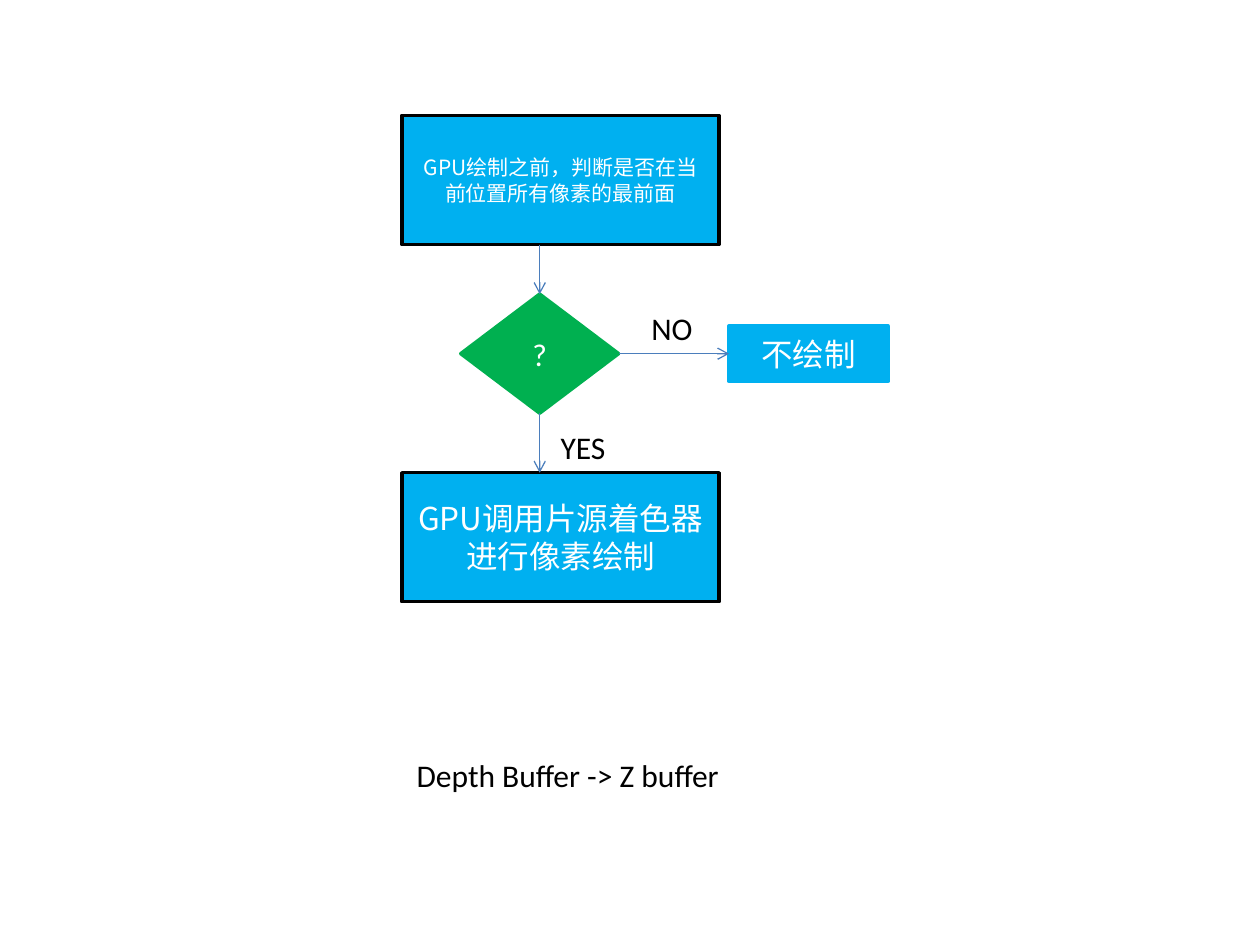
from dataclasses import dataclass

from lxml.etree import SubElement
from pptx import Presentation
from pptx.dml.color import RGBColor
from pptx.enum.shapes import MSO_CONNECTOR as Link, MSO_SHAPE as Geometry
from pptx.enum.text import MSO_ANCHOR as Anchor, MSO_AUTO_SIZE as AutoSize, PP_ALIGN as Align
from pptx.oxml.ns import qn
from pptx.util import Cm, Pt

SKY = RGBColor(0x00, 0xB0, 0xF0)
GREEN = RGBColor(0x00, 0xB0, 0x50)
STEEL = RGBColor(0x4B, 0x7E, 0xBC)
BLACK = RGBColor(0x00, 0x00, 0x00)
WHITE = RGBColor(0xFF, 0xFF, 0xFF)
LATIN, CHINESE = "Calibri", "Noto Sans CJK SC"
TOP, BOTTOM, RIGHT = 0, 2, 3


def apply(target, formats):
    for attribute, value in formats.items():
        setattr(target, attribute, value)


@dataclass
class Flowchart:
    """Draw steps, arrows and labels on one slide in a shared style."""

    slide: object
    border: float = 2
    text_size: float = 18

    def add_words(self, frame, words, color, font=LATIN, size=None, align=None):
        paragraph = frame.paragraphs[0]
        paragraph.alignment = align
        run = paragraph.add_run()
        run.text = words
        apply(run.font, {"name": font, "size": Pt(size or self.text_size)})
        run.font.color.rgb = color
        SubElement(run.font._element, qn("a:ea"), typeface=CHINESE)

    def step(self, words, box, fill=SKY, edge=BLACK, geometry=Geometry.RECTANGLE, **text):
        shape = self.slide.shapes.add_shape(geometry, *map(Cm, box))
        shape.shadow.inherit = False
        shape.fill.solid()
        shape.fill.fore_color.rgb = fill
        shape.line.color.rgb = edge
        shape.line.width = Pt(self.border)
        apply(shape.text_frame, {"word_wrap": True, "vertical_anchor": Anchor.MIDDLE})
        self.add_words(shape.text_frame, words, WHITE, align=Align.CENTER, **text)
        return shape

    def arrow(self, start, end, source=None, target=None):
        connector = self.slide.shapes.add_connector(Link.STRAIGHT, *map(Cm, start + end))
        if source:
            connector.begin_connect(*source)
        if target:
            connector.end_connect(*target)
        connector.line.color.rgb = STEEL
        connector.line.width = Pt(0.75)
        SubElement(connector.get_or_add_ln(), qn("a:tailEnd"), type="arrow")
        SubElement(connector.element.spPr, qn("a:effectLst"))

    def label(self, words, left, top, width):
        frame = self.slide.shapes.add_textbox(*map(Cm, (left, top, width, 1.02))).text_frame
        apply(frame, {"word_wrap": False, "auto_size": AutoSize.SHAPE_TO_FIT_TEXT})
        self.add_words(frame, words, BLACK)


deck = Presentation()
apply(deck, {"slide_width": Cm(25.4), "slide_height": Cm(19.05)})
flow = Flowchart(deck.slides.add_slide(deck.slide_layouts[6]))

step_left, step_width, step_height = 8.1, 6.4, 2.6
check_top, draw_top = 2.33, 9.53
axis, middle = 10.88, 7.13
test_width, test_height = 3.18, 2.4
skip_left, skip_width, skip_height = 14.7, 3.2, 1.12
test_top, test_bottom = middle - test_height / 2, middle + test_height / 2

flow.step("GPU绘制之前，判断是否在当前位置所有像素的最前面",
          (step_left, check_top, step_width, step_height), font=CHINESE, size=12)
test = flow.step("?", (axis - test_width / 2, test_top, test_width, test_height),
                 GREEN, GREEN, Geometry.DIAMOND)
flow.step("GPU调用片源着色器进行像素绘制",
          (step_left, draw_top, step_width, step_height), font=CHINESE)
flow.step("不绘制", (skip_left, middle - skip_height / 2, skip_width, skip_height), edge=SKY)

flow.arrow((axis, check_top + step_height), (axis, test_top), target=(test, TOP))
flow.arrow((axis, test_bottom), (axis, draw_top), source=(test, BOTTOM))
flow.arrow((axis + test_width / 2, middle), (skip_left, middle), source=(test, RIGHT))

for words, left, top, width in (
    ("YES", 11.05, 8.51, 1.42),
    ("NO", 12.88, 6.1, 1.35),
    ("Depth Buffer -> Z buffer", 8.15, 15.11, 6.71),
):
    flow.label(words, left, top, width)

deck.save("out.pptx")
